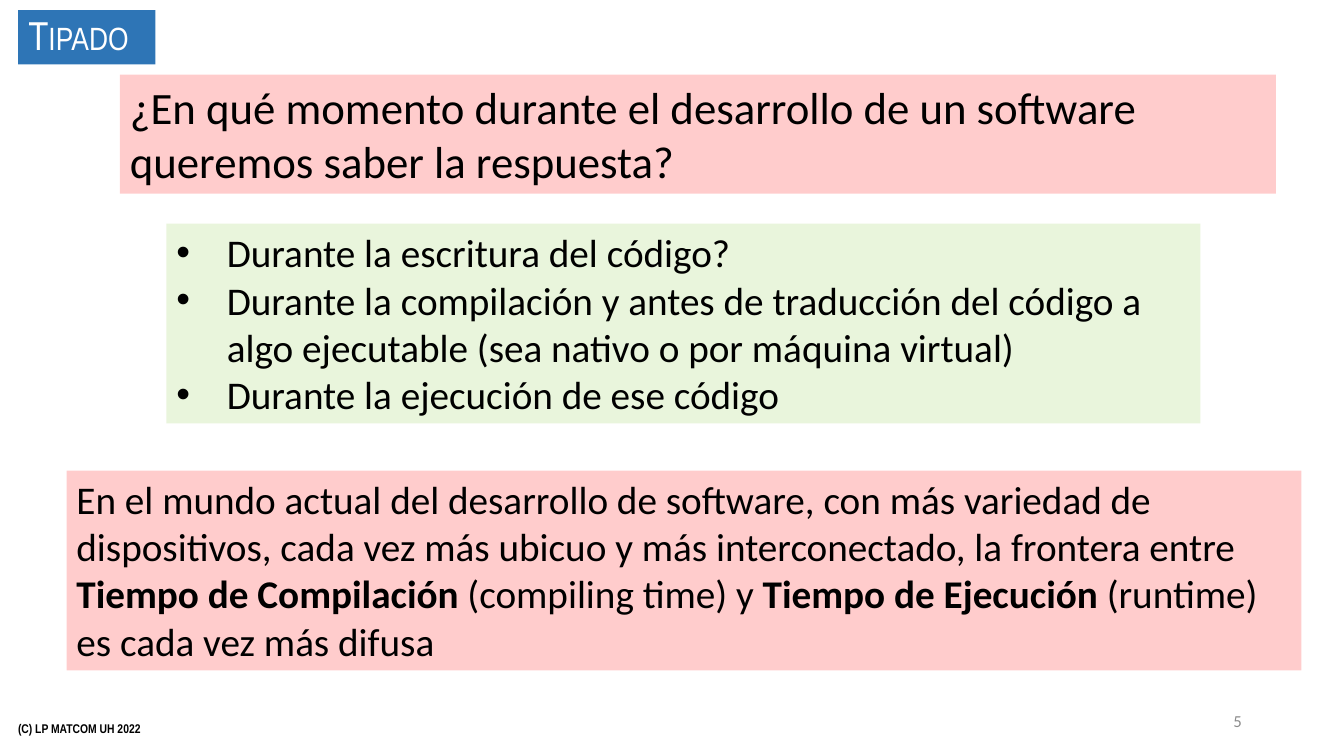
from dataclasses import dataclass, field

from lxml import etree
from pptx import Presentation
from pptx.dml.color import RGBColor
from pptx.enum.text import MSO_ANCHOR, MSO_AUTO_SIZE, PP_ALIGN
from pptx.oxml.ns import qn
from pptx.util import Pt

LEFT, RIGHT = PP_ALIGN.LEFT, PP_ALIGN.RIGHT
TOP, MIDDLE = MSO_ANCHOR.TOP, MSO_ANCHOR.MIDDLE
FIXED, GROW = MSO_AUTO_SIZE.NONE, MSO_AUTO_SIZE.SHAPE_TO_FIT_TEXT
TITLE_AND_CONTENT = 1
HANGING = Pt(36)

COLOURS = {
    "blue": "2E75B6",
    "red": "FF0000",
    "green": "92D050",
    "black": "000000",
    "white": "FFFFFF",
    "grey": "8C8C8C",
}


@dataclass
class Panel:
    box: tuple[float, float, float, float]
    paragraphs: list[list[tuple[str, bool]]]
    size: float
    colour: str = "black"
    font: str = "Calibri"
    fill: str | None = None
    opacity: int = 100
    bulleted: bool = False
    small_caps: bool = False
    frame_format: dict = field(
        default_factory=lambda: {"vertical_anchor": TOP, "auto_size": GROW}
    )
    paragraph_format: dict = field(default_factory=dict)


LABEL_FRAME = {"vertical_anchor": MIDDLE, "auto_size": FIXED}
LIST_FRAME = {"vertical_anchor": TOP, "auto_size": FIXED}

HEADING = Panel(
    (13, 7.2, 98, 38.9), [[("Tipado", False)]], 28.8, "white", "Arial Narrow",
    fill="blue", small_caps=True, frame_format=LABEL_FRAME,
    paragraph_format={"line_spacing": 0.9},
)
MOMENTS = Panel(
    (118.8, 159.8, 738.7, 142.6),
    [
        [("Durante la escritura del código?", False)],
        [("Durante la compilación y antes de traducción del código a algo "
          "ejecutable (sea nativo o por máquina virtual)", False)],
        [("Durante la ejecución de ese código", False)],
    ],
    28, fill="green", opacity=20, bulleted=True, frame_format=LIST_FRAME,
)
QUESTION = Panel(
    (85.7, 53.3, 825.8, 85),
    [[("¿En qué momento durante el desarrollo de un software queremos saber "
       "la respuesta?", False)]],
    32, fill="red", opacity=20,
)
CONCLUSION = Panel(
    (47.5, 336.2, 882, 142.6),
    [[
        ("En el mundo actual del desarrollo de software, con más variedad de "
         "dispositivos, cada vez más ubicuo y más interconectado, la frontera "
         "entre ", False),
        ("Tiempo de Compilación", True),
        (" (compiling time) y ", False),
        ("Tiempo de Ejecución ", True),
        ("(runtime) es cada vez más difusa", False),
    ]],
    28, fill="red", opacity=20,
)
COPYRIGHT = Panel(
    (5.8, 506.2, 324, 28.8), [[("(C) LP MATCOM UH 2022", True)]], 9,
    font="Arial Narrow", frame_format=LABEL_FRAME,
)
PAGE_NUMBER = Panel(
    (678.2, 500.4, 216, 28.8), [[("5", False)]], 12, "grey",
    frame_format=LABEL_FRAME, paragraph_format={"alignment": RIGHT},
)


def apply(target, values: dict) -> None:
    for name, value in values.items():
        setattr(target, name, value)


def fill_panel(shape, panel: Panel) -> None:
    shape.fill.solid()
    shape.fill.fore_color.rgb = RGBColor.from_string(COLOURS[panel.fill])
    if panel.opacity < 100:
        colour = shape.fill._xPr.find(f"{qn('a:solidFill')}/{qn('a:srgbClr')}")
        etree.SubElement(colour, qn("a:alpha"), val=str(panel.opacity * 1000))


def add_bullet(paragraph) -> None:
    properties = paragraph._p.get_or_add_pPr()
    properties.set("marL", str(HANGING))
    properties.set("indent", str(-HANGING))
    etree.SubElement(properties, qn("a:buFont"), typeface="Arial")
    etree.SubElement(properties, qn("a:buChar"), char="•")


def write_panel(shape, panel: Panel) -> None:
    sides = ("left", "top", "width", "height")
    apply(shape, {side: Pt(value) for side, value in zip(sides, panel.box)})
    if panel.fill:
        fill_panel(shape, panel)
    frame = shape.text_frame
    apply(frame, {"word_wrap": True, **panel.frame_format})
    for index, pieces in enumerate(panel.paragraphs):
        paragraph = frame.add_paragraph() if index else frame.paragraphs[0]
        apply(paragraph, {"alignment": LEFT, "space_before": Pt(0), **panel.paragraph_format})
        if panel.bulleted:
            add_bullet(paragraph)
        for words, bold in pieces:
            run = paragraph.add_run()
            run.text = words
            apply(run.font, {"name": panel.font, "size": Pt(panel.size), "bold": bold})
            run.font.color.rgb = RGBColor.from_string(COLOURS[panel.colour])
            if panel.small_caps:
                run._r.get_or_add_rPr().set("cap", "small")


def main() -> None:
    deck = Presentation()
    apply(deck, {"slide_width": Pt(960), "slide_height": Pt(540)})
    slide = deck.slides.add_slide(deck.slide_layouts[TITLE_AND_CONTENT])
    write_panel(slide.shapes.title, HEADING)
    write_panel(slide.placeholders[1], MOMENTS)
    for panel in (QUESTION, CONCLUSION, COPYRIGHT, PAGE_NUMBER):
        left, top, width, height = map(Pt, panel.box)
        write_panel(slide.shapes.add_textbox(left, top, width, height), panel)
    deck.save("out.pptx")


if __name__ == "__main__":
    main()
